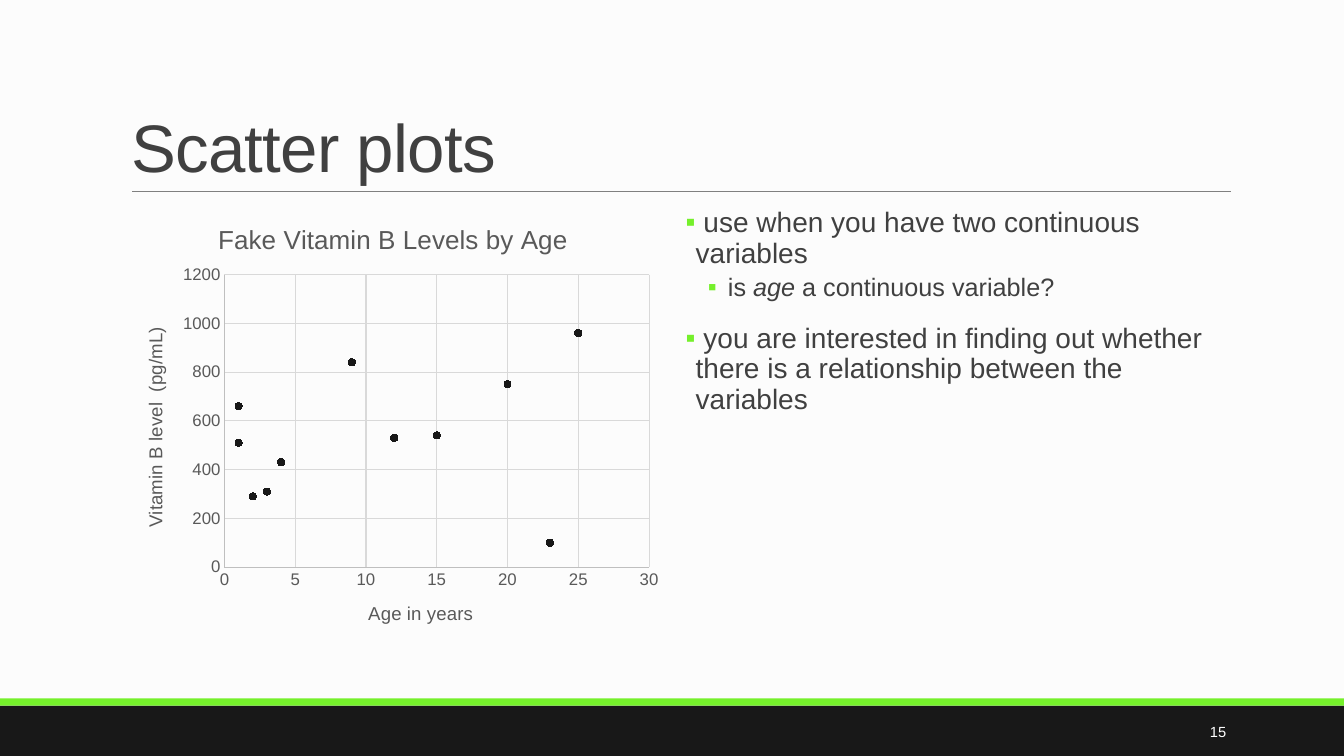
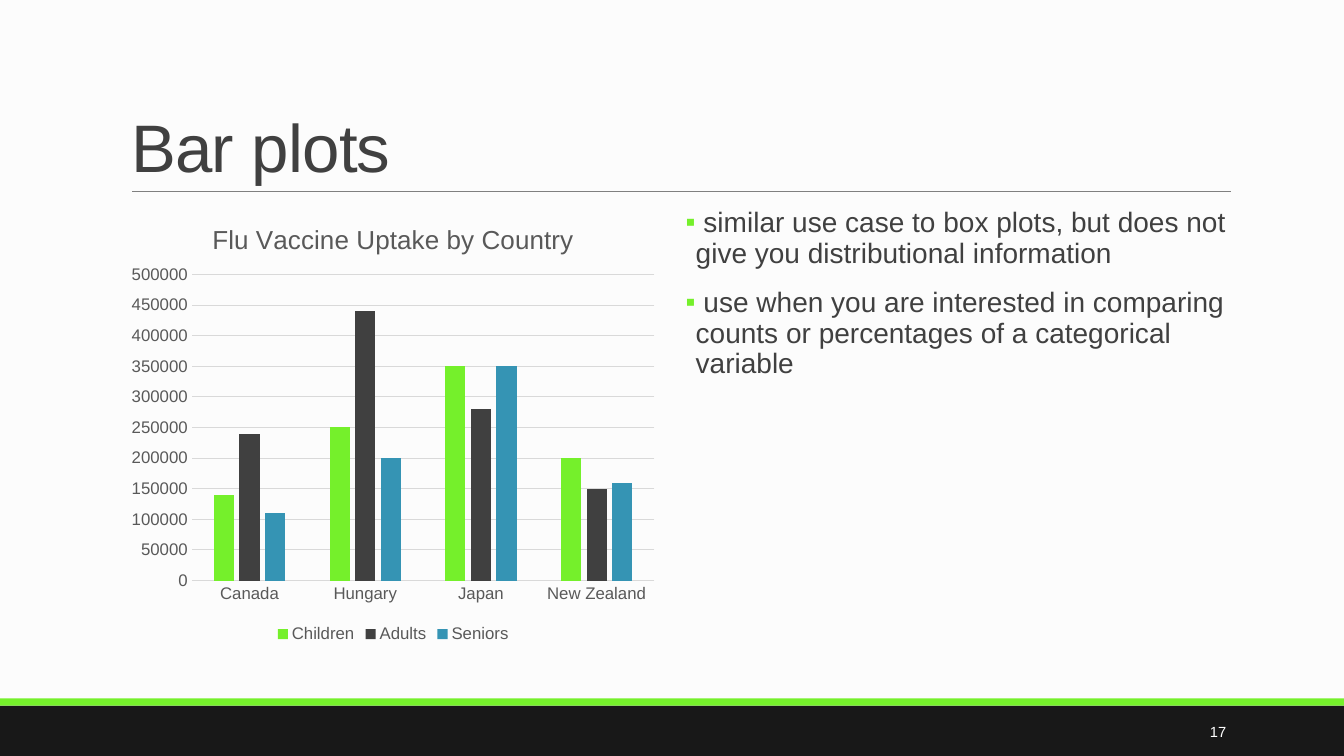
from dataclasses import dataclass

from pptx import Presentation
from pptx import util as u
from pptx.chart import data as cd
from pptx.dml.color import RGBColor
from pptx.enum import chart as ce, shapes, text
from pptx.oxml.xmlchemy import OxmlElement

FONT = "Arial"
COLORS = {
    "background": "FCFCFC",
    "dark": "181818",
    "green": "75F02B",
    "blue": "3594B4",
    "text": "404040",
    "rule": "808080",
    "chart_text": "595959",
    "grid": "D9D9D9",
    "axis": "BFBFBF",
    "white": "FFFFFF",
}
SLIDE_W, SLIDE_H = 13.33, 7.5
CONTENT_TOP, CONTENT_W, CONTENT_H = 2.02, 5.4, 4.4
CHART_LEFT, BODY_LEFT = 1.2, 6.8


@dataclass(frozen=True)
class Run:
    text: str
    italic: bool = False


@dataclass(frozen=True)
class Bullet:
    runs: tuple[Run, ...]
    level: int = 0


@dataclass(frozen=True)
class BulletStyle:
    size: float
    margin: float
    hanging: float
    before: float
    after: float


@dataclass(frozen=True)
class Band:
    top: float
    height: float
    color: str


@dataclass(frozen=True)
class PlotArea:
    """Inner plot area as fractions of the chart."""
    x: float
    y: float
    w: float
    h: float


BULLET_STYLES = (
    BulletStyle(20, 0.1, 0.1, 12, 2),
    BulletStyle(18, 0.42, 0.2, 2, 4),
)
BANDS = (Band(7, 0.5, "dark"), Band(6.93, 0.07, "green"))

VITAMIN_POINTS = (
    (1, 510), (2, 290), (3, 310), (4, 430), (1, 660), (9, 840),
    (12, 530), (15, 540), (20, 750), (25, 960), (23, 100),
)
COUNTRIES = ("Canada", "Hungary", "Japan", "New Zealand")
UPTAKE = (
    ("Children", "green", (140000, 250000, 350000, 200000)),
    ("Adults", "text", (240000, 440000, 280000, 150000)),
    ("Seniors", "blue", (110000, 200000, 350000, 160000)),
)

SCATTER_BULLETS = (
    Bullet((Run(" use when you have two continuous variables"),)),
    Bullet((Run("is "), Run("age", True), Run(" a continuous variable?")), 1),
    Bullet((Run(" you are interested in finding out whether there is "
                "a relationship between the variables"),)),
)
BAR_BULLETS = (
    Bullet((Run(" similar use case to box plots, but does not give you "
                "distributional information"),)),
    Bullet((Run(" use when you are interested in comparing counts or "
                "percentages of a categorical variable"),)),
)


def rgb(name: str) -> RGBColor:
    return RGBColor.from_string(COLORS[name])


def fill_solid(fill, color: str) -> None:
    fill.solid()
    fill.fore_color.rgb = rgb(color)


def set_font(font, size: float, color: str, italic: bool = False) -> None:
    font.name, font.size = FONT, u.Pt(size)
    font.bold, font.italic = False, italic
    font.color.rgb = rgb(color)


def place(sp, left: float, top: float, width: float, height: float) -> None:
    sp.left, sp.top = u.Inches(left), u.Inches(top)
    sp.width, sp.height = u.Inches(width), u.Inches(height)


def add_child(parent, tag: str, **attrs: str):
    child = OxmlElement(tag)
    for name, value in attrs.items():
        child.set(name, value)
    parent.append(child)
    return child


def add_title(slide, title: str) -> None:
    sp = slide.shapes.title
    place(sp, 1.2, 0.31, 11, 1.59)
    tf = sp.text_frame
    tf.auto_size = text.MSO_AUTO_SIZE.NONE
    tf.vertical_anchor = text.MSO_ANCHOR.BOTTOM
    p = tf.paragraphs[0]
    p.alignment, p.line_spacing = text.PP_ALIGN.LEFT, 0.85
    r = p.add_run()
    r.text = title
    set_font(r.font, 48, "text")
    r.font._element.set("spc", "-50")


def format_bullet(p, level: int) -> None:
    style = BULLET_STYLES[level]
    p.level = level
    p.alignment, p.line_spacing = text.PP_ALIGN.LEFT, 0.9
    p.space_before, p.space_after = u.Pt(style.before), u.Pt(style.after)
    ppr = p._p.get_or_add_pPr()
    ppr.set("marL", str(u.Inches(style.margin)))
    ppr.set("indent", str(-u.Inches(style.hanging)))
    add_child(add_child(ppr, "a:buClr"), "a:srgbClr", val=COLORS["green"])
    add_child(ppr, "a:buFont", typeface=FONT)
    add_child(ppr, "a:buChar", char="▪")


def add_bullets(slide, bullets: tuple[Bullet, ...]) -> None:
    sp = slide.placeholders[1]
    place(sp, BODY_LEFT, CONTENT_TOP, CONTENT_W, CONTENT_H)
    tf = sp.text_frame
    tf.auto_size = text.MSO_AUTO_SIZE.NONE
    tf.vertical_anchor = text.MSO_ANCHOR.TOP
    tf.margin_left = tf.margin_right = 0
    for i, bullet in enumerate(bullets):
        p = tf.add_paragraph() if i else tf.paragraphs[0]
        format_bullet(p, bullet.level)
        for run in bullet.runs:
            r = p.add_run()
            r.text = run.text
            set_font(r.font, BULLET_STYLES[bullet.level].size, "text", run.italic)


def add_frame(slide, number: int) -> None:
    """Draw the footer bands, the title rule and the slide number."""
    for band in BANDS:
        sp = slide.shapes.add_shape(
            shapes.MSO_SHAPE.RECTANGLE, 0, u.Inches(band.top),
            u.Inches(SLIDE_W), u.Inches(band.height))
        sp.shadow.inherit = False
        fill_solid(sp.fill, band.color)
        sp.line.fill.background()

    rule = slide.shapes.add_connector(
        shapes.MSO_CONNECTOR.STRAIGHT, u.Inches(1.31), u.Inches(1.9),
        u.Inches(12.21), u.Inches(1.9))
    rule.line.color.rgb, rule.line.width = rgb("rule"), u.Pt(0.5)
    add_child(rule._element.spPr, "a:effectLst")

    box = slide.shapes.add_textbox(
        u.Inches(10.83), u.Inches(7.06), u.Inches(1.43), u.Inches(0.4))
    tf = box.text_frame
    tf.word_wrap = True
    tf.vertical_anchor = text.MSO_ANCHOR.MIDDLE
    p = tf.paragraphs[0]
    p.alignment = text.PP_ALIGN.RIGHT
    r = p.add_run()
    r.text = str(number)
    set_font(r.font, 10.5, "white")


def add_slide(prs, title: str, number: int, bullets: tuple[Bullet, ...]):
    slide = prs.slides.add_slide(prs.slide_layouts[1])
    add_frame(slide, number)
    add_title(slide, title)
    add_bullets(slide, bullets)
    return slide


def write_chart_text(tf, content: str, size: float) -> None:
    r = tf.paragraphs[0].add_run()
    r.text = content
    set_font(r.font, size, "chart_text")


def add_chart(slide, kind, data, title: str, area: PlotArea):
    frame = slide.shapes.add_chart(
        kind, u.Inches(CHART_LEFT), u.Inches(CONTENT_TOP),
        u.Inches(CONTENT_W), u.Inches(CONTENT_H), data)
    chart = frame.chart
    chart.font.name, chart.font.size = FONT, u.Pt(10)
    chart.has_legend = False
    chart.has_title = True
    write_chart_text(chart.chart_title.text_frame, title, 18.6)
    chart.plots[0].vary_by_categories = False
    set_plot_area(chart, area)
    return chart


def set_plot_area(chart, area: PlotArea) -> None:
    plot_area = chart._chartSpace.chart.plotArea
    for old in plot_area.findall(OxmlElement("c:layout").tag):
        plot_area.remove(old)
    layout = OxmlElement("c:layout")
    manual = add_child(layout, "c:manualLayout")
    settings = {
        "layoutTarget": "inner", "xMode": "edge", "yMode": "edge",
        "x": area.x, "y": area.y, "w": area.w, "h": area.h,
    }
    for name, value in settings.items():
        add_child(manual, f"c:{name}", val=str(value))
    plot_area.insert(0, layout)


def style_axis(axis, line: str | None, grid: bool, title: str = "") -> None:
    axis.major_tick_mark = axis.minor_tick_mark = ce.XL_TICK_MARK.NONE
    set_font(axis.tick_labels.font, 12, "chart_text")
    if line:
        axis.format.line.color.rgb = rgb(line)
        axis.format.line.width = u.Pt(0.75)
    else:
        axis.format.line.fill.background()
    axis.has_major_gridlines = grid
    if grid:
        grid_line = axis.major_gridlines.format.line
        grid_line.color.rgb, grid_line.width = rgb("grid"), u.Pt(0.75)
    if title:
        write_chart_text(axis.axis_title.text_frame, title, 13.3)


def set_scale(axis, maximum: float, step: float) -> None:
    axis.minimum_scale, axis.maximum_scale = 0, maximum
    axis.major_unit = step


def add_vitamin_chart(slide) -> None:
    data = cd.XyChartData()
    points = data.add_series("Series 1")
    for age, level in VITAMIN_POINTS:
        points.add_data_point(age, level)
    chart = add_chart(slide, ce.XL_CHART_TYPE.XY_SCATTER, data,
                      "Fake Vitamin B Levels by Age", PlotArea(0.19, 0.16, 0.78, 0.66))
    style_axis(chart.category_axis, "axis", True, "Age in years")
    style_axis(chart.value_axis, "axis", True, "Vitamin B level  (pg/mL)")
    set_scale(chart.category_axis, 30, 5)
    set_scale(chart.value_axis, 1200, 200)
    series = chart.plots[0].series[0]
    series.smooth = False
    series.format.line.fill.background()
    marker = series.marker
    marker.style, marker.size = ce.XL_MARKER_STYLE.CIRCLE, 5
    fill_solid(marker.format.fill, "dark")
    marker.format.line.color.rgb = rgb("dark")


def add_vaccine_chart(slide) -> None:
    data = cd.CategoryChartData()
    data.categories = COUNTRIES
    for name, _, values in UPTAKE:
        data.add_series(name, values)
    chart = add_chart(slide, ce.XL_CHART_TYPE.COLUMN_CLUSTERED, data,
                      "Flu Vaccine Uptake by Country", PlotArea(0.13, 0.16, 0.85, 0.69))
    style_axis(chart.category_axis, "grid", False)
    style_axis(chart.value_axis, None, True)
    set_scale(chart.value_axis, 500000, 50000)
    plot = chart.plots[0]
    plot.gap_width, plot.overlap = 219, -27
    for series, (_, color, _) in zip(plot.series, UPTAKE):
        fill_solid(series.format.fill, color)
    chart.has_legend = True
    chart.legend.position = ce.XL_LEGEND_POSITION.BOTTOM
    chart.legend.include_in_layout = False
    set_font(chart.legend.font, 12, "chart_text")


def main() -> None:
    prs = Presentation()
    prs.slide_width, prs.slide_height = u.Inches(SLIDE_W), u.Inches(SLIDE_H)
    fill_solid(prs.slide_master.background.fill, "background")
    add_vitamin_chart(add_slide(prs, "Scatter plots", 15, SCATTER_BULLETS))
    add_vaccine_chart(add_slide(prs, "Bar plots", 17, BAR_BULLETS))
    prs.save("out.pptx")


if __name__ == "__main__":
    main()
